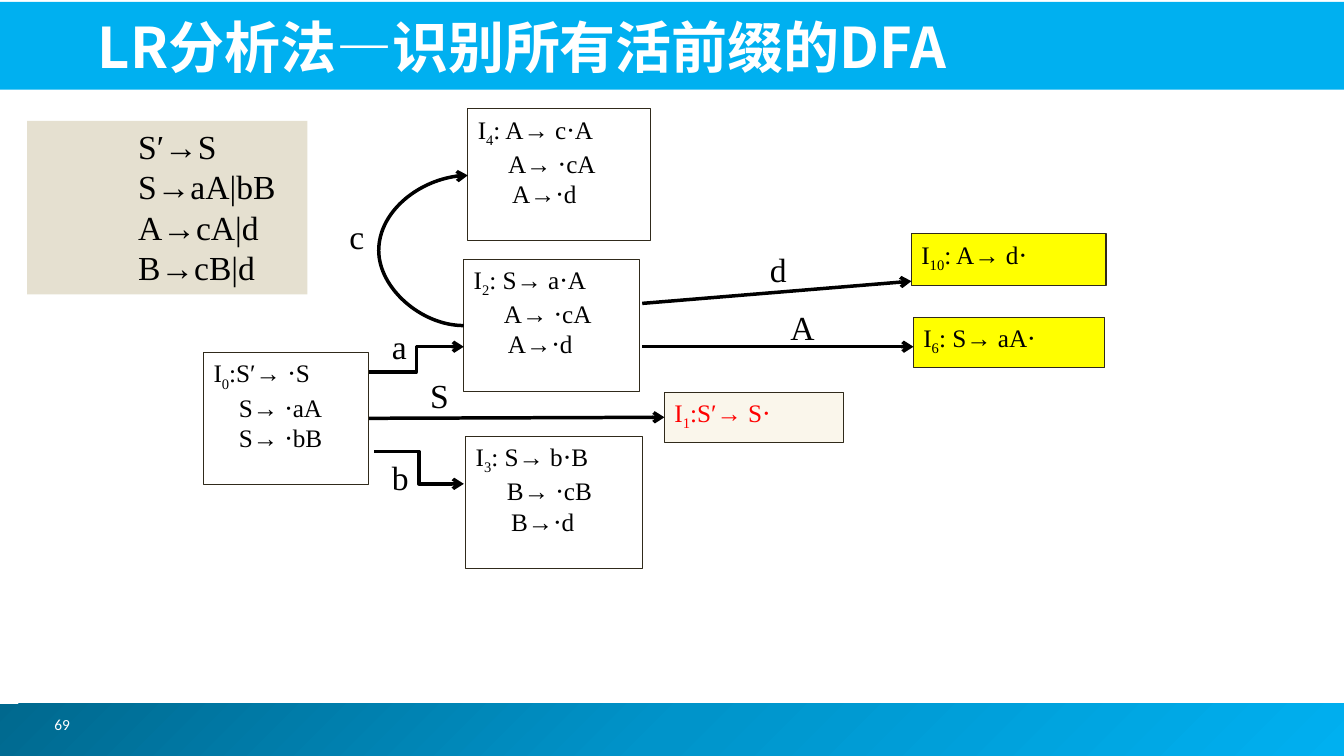
from copy import deepcopy
from dataclasses import dataclass

from lxml.etree import SubElement
from pptx import Presentation
from pptx.dml.color import RGBColor
from pptx.enum.shapes import MSO_CONNECTOR as Link, MSO_SHAPE as Shape
from pptx.enum.text import MSO_ANCHOR as Anchor, MSO_AUTO_SIZE as AutoSize, PP_ALIGN as Align
from pptx.oxml.ns import qn
from pptx.util import Inches, Pt


@dataclass(frozen=True)
class Theme:
    serif: str = "Times New Roman"
    heading: str = "Noto Sans CJK JP"
    number: str = "Calibri"
    title_size: int = 40
    large: int = 24
    item: int = 18
    small: int = 11
    black: str = "000000"
    white: str = "FFFFFF"
    red: str = "FF0000"
    sky: str = "00B0F0"
    footer: tuple = ("00688E", "0094CA", "00B0F0")
    border: str = "302A1B"
    cream: str = "FAF6EB"
    yellow: str = "FFFF00"
    sand: str = "E5E0D0"


@dataclass(frozen=True)
class Box:
    left: float
    top: float
    width: float
    height: float

    def inner(self, left, top, width, height):
        return Box(self.left + left, self.top + top, width, height)

    def lengths(self):
        return [Inches(v) for v in (self.left, self.top, self.width, self.height)]


THEME = Theme()


def rgb(value):
    return RGBColor.from_string(value)


def assign(target, values):
    for name, value in values.items():
        setattr(target, name, value)


def write(paragraph, text, size, color=THEME.black, font=THEME.serif, bold=False):
    run = paragraph.add_run()
    run.text = text
    assign(run.font, {"size": Pt(size), "name": font, "bold": bold})
    run.font.color.rgb = rgb(color)
    return run


def indent(paragraph, inches):
    properties = paragraph._p.get_or_add_pPr()
    properties.set("marL", str(Inches(inches)))
    properties.set("indent", "0")
    return properties


def rectangle(slide, box, fill=None, border=None):
    panel = slide.shapes.add_shape(Shape.RECTANGLE, *box.lengths())
    panel.shadow.inherit = False
    if fill:
        panel.fill.solid()
        panel.fill.fore_color.rgb = rgb(fill)
    else:
        panel.fill.background()
    if border:
        panel.line.color.rgb = rgb(border)
        panel.line.width = Pt(0.75)
    else:
        panel.line.fill.background()
    return panel


def label(slide, box, text, size, **style):
    frame = slide.shapes.add_textbox(*box.lengths()).text_frame
    assign(frame, {"word_wrap": True, "vertical_anchor": style.pop("anchor", Anchor.TOP)})
    frame.paragraphs[0].alignment = style.pop("align", Align.LEFT)
    write(frame.paragraphs[0], text, size, **style)


def place(placeholder, box):
    assign(placeholder, dict(zip(("left", "top", "width", "height"), box.lengths())))
    placeholder.element.getparent().append(placeholder.element)


def header(slide, box):
    rectangle(slide, box, THEME.sky)
    title = slide.shapes.title
    place(title, box.inner(0.89, 0.03, 12.06, 0.79))
    assign(title.text_frame, {"vertical_anchor": Anchor.BOTTOM, "word_wrap": True,
                              "auto_size": AutoSize.NONE})
    heading = title.text_frame.paragraphs[0]
    heading.alignment = Align.LEFT
    run = write(heading, "LR分析法—识别所有活前缀的DFA", THEME.title_size,
                THEME.white, THEME.heading, True)
    SubElement(run.font._element, qn("a:ea")).set("typeface", THEME.heading)


def footer(slide, box):
    band = rectangle(slide, box, THEME.sky)
    band.fill.gradient()
    band.fill.gradient_angle = 315
    first = band.fill.gradient_stops[0]._gs
    first.addnext(deepcopy(first))
    for stop, color, position in zip(band.fill.gradient_stops, THEME.footer, (0, 0.5, 1)):
        stop.color.rgb = rgb(color)
        stop.position = position
    label(slide, box.inner(0.49, -0.04, 2.89, 0.5), "69", THEME.small,
          color=THEME.white, font=THEME.number, anchor=Anchor.MIDDLE)


def grammar(slide, box):
    rules = slide.placeholders[1]
    place(rules, box)
    rules.fill.solid()
    rules.fill.fore_color.rgb = rgb(THEME.sand)
    frame = rules.text_frame
    assign(frame, {"vertical_anchor": Anchor.TOP, "auto_size": AutoSize.NONE})
    for i, rule in enumerate(("S′→S", "S→aA|bB", "A→cA|d", "B→cB|d")):
        paragraph = frame.add_paragraph() if i else frame.paragraphs[0]
        paragraph.space_before = Pt(0)
        SubElement(indent(paragraph, 1), qn("a:buNone"))
        write(paragraph, rule, THEME.large)


def state(slide, box, index, kernel, closure=(), fill=None, color=THEME.black):
    frame = rectangle(slide, box, fill, THEME.border).text_frame
    assign(frame, {"word_wrap": True, "vertical_anchor": Anchor.TOP})
    first = frame.paragraphs[0]
    first.alignment = Align.LEFT
    write(first, "I", THEME.item, color)
    subscript = write(first, index, THEME.item, color)
    subscript.font._element.set("baseline", "-25000")
    write(first, kernel, THEME.item, color)
    for offset, item in closure:
        paragraph = frame.add_paragraph()
        paragraph.alignment = Align.LEFT
        indent(paragraph, offset)
        write(paragraph, item, THEME.item, color)


def transition(slide, box, kind, start, end, bend=None):
    x1, y1, x2, y2 = start + end
    edge = slide.shapes.add_connector(
        kind, Inches(box.left + x1), Inches(box.top + y1),
        Inches(box.left + x2), Inches(box.top + y2))
    edge.line.color.rgb = rgb(THEME.black)
    edge.line.width = Pt(2.5)
    SubElement(edge.line._get_or_add_ln(), qn("a:tailEnd")).set("type", "arrow")
    properties = edge.element.spPr
    SubElement(properties, qn("a:effectLst"))
    if bend is not None:
        guides = properties.find(qn("a:prstGeom")).find(qn("a:avLst"))
        guide = SubElement(guides, qn("a:gd"))
        guide.set("name", "adj1")
        guide.set("fmla", f"val {round(bend * 100000)}")


def automaton(slide, box):
    c_items = ((0.3, "A→ ⋅cA"), (0.34, "A→⋅d"))
    b_items = ((0.31, "B→ ⋅cB"), (0.35, "B→⋅d"))
    start_items = ((0.25, "S→ ⋅aA"), (0.25, "S→ ⋅bB"))
    states = (
        ((0, 2.42, 1.64, 1.31), "0", ":S′→ ⋅S", start_items),
        ((4.57, 2.81, 1.78, 0.5), "1", ":S′→ S⋅", (), THEME.cream, THEME.red),
        ((2.58, 1.49, 1.74, 1.31), "2", ": S→ a⋅A", c_items),
        ((2.6, 3.25, 1.75, 1.31), "3", ": S→ b⋅B", b_items),
        ((2.62, 0, 1.81, 1.31), "4", ": A→ c⋅A", c_items),
        ((7.02, 1.24, 1.93, 0.51), "10", ": A→ d⋅", (), THEME.yellow),
        ((7.04, 2.07, 1.9, 0.5), "6", ": S→ aA⋅", (), THEME.yellow),
    )
    for bounds, *content in states:
        state(slide, box.inner(*bounds), *content)

    transitions = (
        ("a", (1.74, 2.1), Link.ELBOW, (1.64, 2.61), (2.58, 2.36)),
        ("b", (1.75, 3.4), Link.ELBOW, (1.69, 3.4), (2.58, 3.72)),
        ("S", (2.14, 2.59), Link.STRAIGHT, (1.64, 3.07), (4.57, 3.06)),
        ("c", (1.32, 1.01), Link.CURVE, (2.58, 2.15), (2.62, 0.66), -21),
        ("d", (5.5, 1.34), Link.STRAIGHT, (4.35, 1.93), (7.02, 1.71)),
        ("A", (5.72, 1.92), Link.STRAIGHT, (4.35, 2.36), (7.04, 2.36)),
    )
    for symbol, corner, *route in transitions:
        transition(slide, box, *route)
        label(slide, box.inner(*corner, 0.4, 0.5), symbol, THEME.large, align=Align.CENTER)


def main():
    deck = Presentation()
    deck.slide_width, deck.slide_height = Inches(13.33), Inches(7.5)
    slide = deck.slides.add_slide(deck.slide_layouts[1])
    footer(slide, Box(-0.05, 6.98, 13.39, 0.52))
    header(slide, Box(-0.02, 0.02, 13.36, 0.87))
    automaton(slide, Box(2.02, 1.08, 8.95, 4.56))
    grammar(slide, Box(0.27, 1.2, 2.78, 1.72))
    deck.save("out.pptx")


if __name__ == "__main__":
    main()
